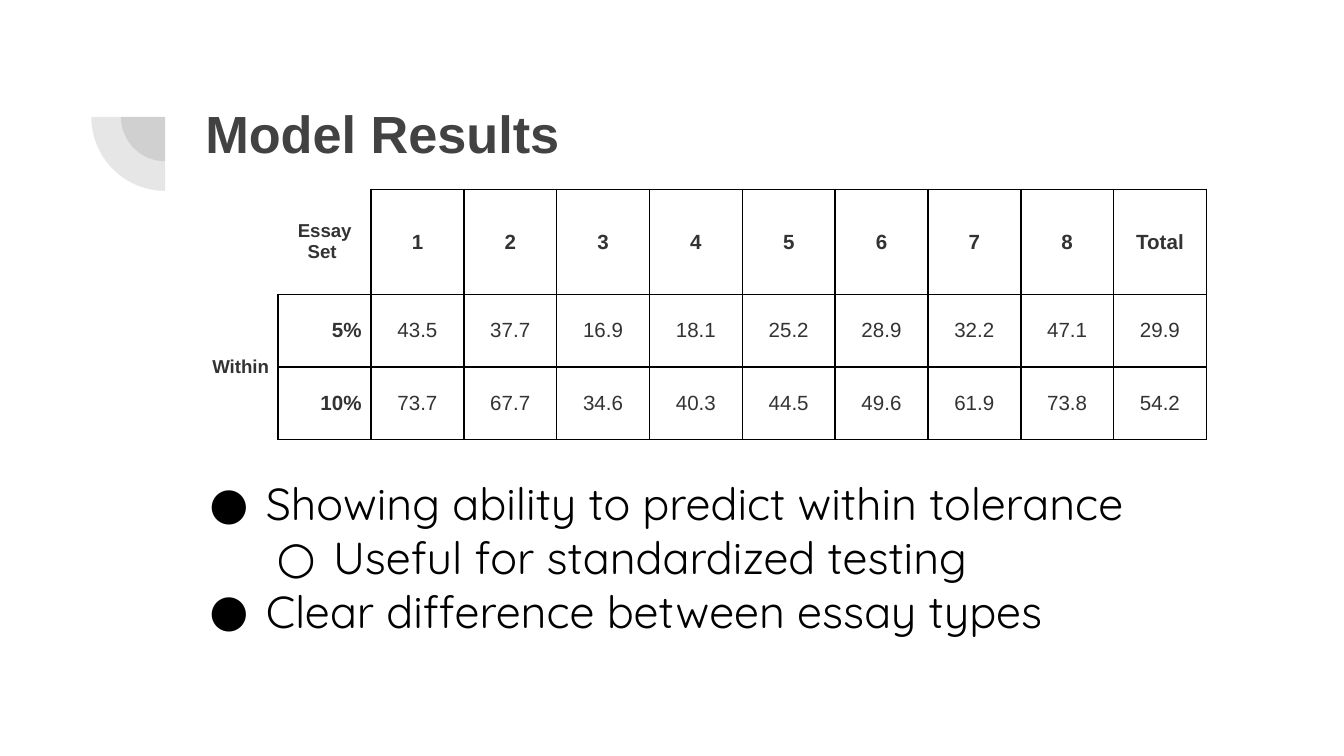
import dataclasses

import lxml.etree
import pptx
import pptx.dml.color
import pptx.enum.shapes
import pptx.enum.text
import pptx.oxml.ns
import pptx.util

Inches = pptx.util.Inches
Pt = pptx.util.Pt
Align = pptx.enum.text.PP_ALIGN
Anchor = pptx.enum.text.MSO_ANCHOR
qn = pptx.oxml.ns.qn


@dataclasses.dataclass(frozen=True)
class Theme:
    dark: str = "424242"
    table_text: str = "333333"
    black: str = "000000"
    white: str = "FFFFFF"
    heading_font: str = "Arial"
    body_font: str = "Quicksand"
    title_size: int = 28
    body_size: int = 24
    cell_size: int = 11
    label_size: int = 10


THEME = Theme()

ROWS = [
    ["", "Essay Set ", "1", "2", "3", "4", "5", "6", "7", "8", "Total"],
    ["Within", "5%", "43.5", "37.7", "16.9", "18.1", "25.2", "28.9", "32.2", "47.1", "29.9"],
    ["", "10%", "73.7", "67.7", "34.6", "40.3", "44.5", "49.6", "61.9", "73.8", "54.2"],
]
ROW_HEIGHTS = [0.78, 0.54, 0.54]
TABLE_WIDTH = 7.6

# Sides drawn in white, so that the label cells look open
OPEN_SIDES = {(0, 0): "LRTB", (0, 1): "LT", (1, 0): "LTB", (2, 0): "LTB"}

BULLETS = [
    (0, "Showing ability to predict within tolerance"),
    (1, "Useful for standardized testing"),
    (0, "Clear difference between essay types"),
]


def rgb(value):
    return pptx.dml.color.RGBColor.from_string(value)


def write_text(para, text, *, font, size, color, bold=False, align=None):
    span = para.add_run()
    span.text = text
    span.font.name = font
    span.font.size = Pt(size)
    span.font.bold = bold
    span.font.color.rgb = rgb(color)
    if align is not None:
        para.alignment = align


def add_text_box(page, left, top, width, height):
    box = page.shapes.add_textbox(Inches(left), Inches(top), Inches(width), Inches(height))
    frame = box.text_frame
    frame.word_wrap = True
    frame.margin_left = frame.margin_right = Inches(0.1)
    frame.margin_top = frame.margin_bottom = Inches(0.1)
    return frame


def add_quarter(page, center_x, center_y, radius):
    pie = page.shapes.add_shape(
        pptx.enum.shapes.MSO_SHAPE.PIE,
        Inches(center_x - radius), Inches(center_y - radius),
        Inches(2 * radius), Inches(2 * radius))
    pie.adjustments[0] = 108
    pie.adjustments[1] = 162
    pie.rotation = 270
    pie.shadow.inherit = False
    pie.line.fill.background()
    pie.fill.solid()
    pie.fill.fore_color.rgb = rgb(THEME.dark)
    color = pie.fill._xPr.find(".//" + qn("a:srgbClr"))
    lxml.etree.SubElement(color, qn("a:alpha"), val="13000")


def set_borders(cell, open_sides):
    properties = cell._tc.get_or_add_tcPr()
    for index, side in enumerate("LRTB"):
        line = lxml.etree.Element(qn("a:ln" + side), w=str(Pt(1)))
        fill = lxml.etree.SubElement(line, qn("a:solidFill"))
        color = THEME.white if side in open_sides else THEME.black
        lxml.etree.SubElement(fill, qn("a:srgbClr"), val=color)
        properties.insert(index, line)


def add_results_table(page, left, top):
    columns = len(ROWS[0])
    table = page.shapes.add_table(
        len(ROWS), columns, Inches(left), Inches(top),
        Inches(TABLE_WIDTH), Inches(sum(ROW_HEIGHTS))).table
    table.first_row = table.horz_banding = False
    for column in table.columns:
        column.width = Inches(TABLE_WIDTH / columns)
    for row, height in zip(table.rows, ROW_HEIGHTS):
        row.height = Inches(height)

    for r, values in enumerate(ROWS):
        for c, text in enumerate(values):
            cell = table.cell(r, c)
            cell.fill.background()
            cell.vertical_anchor = Anchor.MIDDLE
            cell.margin_left = cell.margin_right = Inches(0.07)
            cell.margin_top = cell.margin_bottom = Inches(0.07)
            set_borders(cell, OPEN_SIDES.get((r, c), ""))
            if text:
                write_text(
                    cell.text_frame.paragraphs[0], text,
                    font=THEME.heading_font, color=THEME.table_text,
                    size=THEME.label_size if (r, c) in OPEN_SIDES else THEME.cell_size,
                    bold=r == 0 or c < 2,
                    align=Align.RIGHT if r > 0 and c < 2 else Align.CENTER)
    table.cell(1, 0).merge(table.cell(2, 0))


def set_bullet(para, level):
    para.level = level
    properties = para._p.get_or_add_pPr()
    properties.set("marL", str(Inches(0.5 * (level + 1))))
    properties.set("indent", str(Inches(-0.42)))
    color = lxml.etree.SubElement(properties, qn("a:buClr"))
    lxml.etree.SubElement(color, qn("a:srgbClr"), val=THEME.black)
    lxml.etree.SubElement(properties, qn("a:buFont"), typeface=THEME.body_font)
    lxml.etree.SubElement(properties, qn("a:buChar"), char="●○"[level])


def add_bullets(page, left, top, width, height):
    frame = add_text_box(page, left, top, width, height)
    for index, (level, text) in enumerate(BULLETS):
        para = frame.add_paragraph() if index else frame.paragraphs[0]
        set_bullet(para, level)
        write_text(para, text, font=THEME.body_font, size=THEME.body_size, color=THEME.black)


def main():
    # Widescreen page, 16 to 9
    deck = pptx.Presentation()
    deck.slide_width = Inches(10)
    deck.slide_height = Inches(10 * 9 / 16)
    page = deck.slides.add_slide(deck.slide_layouts[6])

    # Corner ornament: two quarter circles about one center
    for radius in (0.33, 0.55):
        add_quarter(page, 1.23, 0.87, radius)

    # Title
    title = add_text_box(page, 1.43, 0.65, 7.69, 1.09)
    write_text(title.paragraphs[0], "Model Results", font=THEME.heading_font,
               size=THEME.title_size, color=THEME.dark, bold=True)

    # Results and findings
    add_results_table(page, 1.38, 1.41)
    add_bullets(page, 1.38, 3.44, 7.43, 1.8)

    deck.save("out.pptx")


if __name__ == "__main__":
    main()
